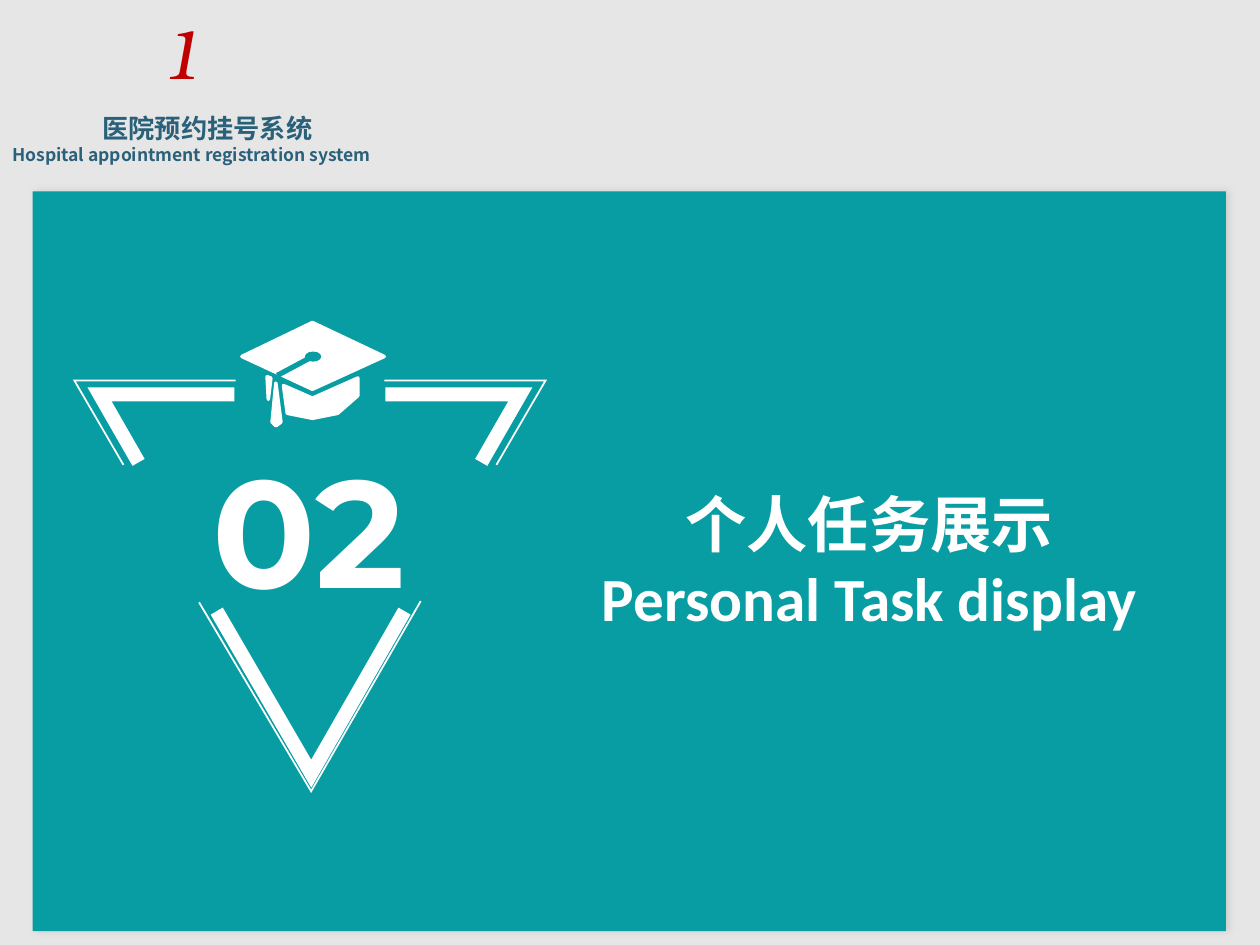
from dataclasses import dataclass

import lxml.etree
import pptx
import pptx.dml.color
import pptx.enum.shapes
import pptx.enum.text
import pptx.oxml
import pptx.oxml.ns
import pptx.util

COLUMNS, ROWS = 1000, 750
CELL = pptx.util.Inches(10) // COLUMNS
AXIS = 246
WHITE, TEAL, GREY, RED, BLUE = "FFFFFF", "089DA3", "E7E6E6", "C00000", "2A617A"
CHINESE_FONT = "Noto Sans CJK SC"
CENTER = pptx.enum.text.PP_ALIGN.CENTER
LEFT = pptx.enum.text.PP_ALIGN.LEFT
SHAPES = pptx.enum.shapes.MSO_SHAPE

Point = tuple[float, float]


@dataclass(frozen=True)
class TextLine:
    text: str
    size: float
    font: str
    color: str
    bold: bool = True
    italic: bool = False
    alignment: pptx.enum.text.PP_ALIGN = CENTER


@dataclass(frozen=True)
class Label:
    column: int
    row: int
    width: int
    height: int
    lines: tuple[TextLine, ...]


@dataclass(frozen=True)
class Stroke:
    points: tuple[Point, ...]
    width: float
    mirrored: bool = False
    color: str = WHITE


LABELS = (
    Label(94, 3, 99, 77, (
        TextLine("1", 40, "TeX Gyre Bonum", RED, bold=False, italic=True),
    )),
    Label(0, 84, 329, 52, (
        TextLine("医院预约挂号系统", 15, CHINESE_FONT, BLUE),
        TextLine("Hospital appointment registration system", 10, CHINESE_FONT, BLUE,
                 alignment=LEFT),
    )),
    Label(145, 341, 200, 156, (TextLine("02", 87, "Montserrat", WHITE),)),
    Label(465, 381, 450, 128, (
        TextLine("个人任务展示", 35, CHINESE_FONT, WHITE),
        TextLine("Personal Task display", 35, "Calibri", WHITE),
    )),
)

TRIANGLE_STROKES = (
    Stroke(((98, 369), (59, 302), (187, 302)), 1, mirrored=True),
    Stroke(((334, 477), (247, 628), (158, 478)), 1),
    Stroke(((110, 367), (79, 313), (186, 313)), 8, mirrored=True),
    Stroke(((321, 485), (247, 614), (172, 485)), 8),
)

CAP_PARTS = (
    ((192, 283), (248, 256), (305, 283), (248, 309)),
    ((212, 299), (215, 300), (213, 317)),
    ((225, 306), (248, 316), (284, 300), (284, 314), (268, 328), (248, 332), (228, 328)),
    ((219, 304), (223, 335), (219, 338), (216, 335)),
)
CAP_CORD = Stroke(((248, 283), (220, 298)), 3, color=TEAL)


def rgb(color: str) -> pptx.dml.color.RGBColor:
    """Turn a hex string into a colour."""
    return pptx.dml.color.RGBColor.from_string(color)


def cells(count: float) -> pptx.util.Emu:
    """Turn a count of grid cells into a length."""
    return pptx.util.Emu(round(count * CELL))


def add_child(parent, tag: str, **attributes: str):
    """Append a drawing element to a parent element."""
    child = lxml.etree.SubElement(parent, pptx.oxml.ns.qn(tag))
    for name, value in attributes.items():
        child.set(name, value)
    return child


def add_label(slide, label: Label) -> None:
    """Add a text box with one paragraph for each line."""
    box = slide.shapes.add_textbox(
        cells(label.column), cells(label.row), cells(label.width), cells(label.height))
    frame = box.text_frame
    frame.word_wrap = True
    for index, line in enumerate(label.lines):
        paragraph = frame.add_paragraph() if index else frame.paragraphs[0]
        paragraph.alignment = line.alignment
        run = paragraph.add_run()
        run.text = line.text
        run.font.size = pptx.util.Pt(line.size)
        run.font.bold = line.bold
        run.font.italic = line.italic
        run.font.color.rgb = rgb(line.color)
        run.font.name = line.font
        add_child(run.font._element, "a:ea", typeface=line.font)


def add_teal_shape(slide, kind: SHAPES, column: int, row: int, width: int, height: int):
    """Add a teal preset shape without a line."""
    shape = slide.shapes.add_shape(
        kind, cells(column), cells(row), cells(width), cells(height))
    shape.fill.solid()
    shape.fill.fore_color.rgb = rgb(TEAL)
    shape.line.fill.background()
    shape.shadow.inherit = False
    return shape


def add_soft_shadow(shape) -> None:
    """Give a shape a soft grey shadow."""
    effects = shape._element.spPr.find(pptx.oxml.ns.qn("a:effectLst"))
    shadow = add_child(effects, "a:outerShdw", blurRad=str(pptx.util.Pt(4)),
                       dist=str(pptx.util.Pt(2)), dir="0", algn="ctr", rotWithShape="0")
    color = add_child(shadow, "a:srgbClr", val="A6A6A6")
    add_child(color, "a:alpha", val="36000")


def add_outline(slide, points: tuple[Point, ...], close: bool, color: str, width: float):
    """Add a freeform with a line through points of the grid."""
    vertices = [(cells(x), cells(y)) for x, y in points]
    builder = slide.shapes.build_freeform(*vertices[0])
    builder.add_line_segments(vertices[1:], close=close)
    shape = builder.convert_to_shape()
    shape.shadow.inherit = False
    shape.line.color.rgb = rgb(color)
    shape.line.width = pptx.util.Pt(width)
    return shape


def add_stroke(slide, stroke: Stroke) -> None:
    """Add an open line, with its mirror image where wanted."""
    versions = [stroke.points]
    if stroke.mirrored:
        versions.append(tuple((2 * AXIS - x, y) for x, y in stroke.points))
    for points in versions:
        shape = add_outline(slide, points, False, stroke.color, stroke.width)
        shape.fill.background()
        add_child(shape.line._get_or_add_ln(), "a:miter", lim="800000")


def add_cap(slide) -> None:
    """Add the graduation cap with rounded corners, cord and button."""
    for points in CAP_PARTS:
        part = add_outline(slide, points, True, WHITE, 2)
        part.fill.solid()
        part.fill.fore_color.rgb = rgb(WHITE)
        add_child(part.line._get_or_add_ln(), "a:round")
    add_stroke(slide, CAP_CORD)
    add_teal_shape(slide, SHAPES.OVAL, 242, 279, 13, 8)


def main() -> None:
    """Build and save the section slide."""
    presentation = pptx.Presentation()
    presentation.slide_width, presentation.slide_height = cells(COLUMNS), cells(ROWS)
    slide = presentation.slides.add_slide(presentation.slide_layouts[6])
    slide.background.fill.solid()
    slide.background.fill.fore_color.rgb = rgb(GREY)
    add_soft_shadow(add_teal_shape(slide, SHAPES.RECTANGLE, 26, 152, 947, 587))
    for stroke in TRIANGLE_STROKES:
        add_stroke(slide, stroke)
    add_cap(slide)
    for label in LABELS:
        add_label(slide, label)
    presentation.save("out.pptx")


if __name__ == "__main__":
    main()
